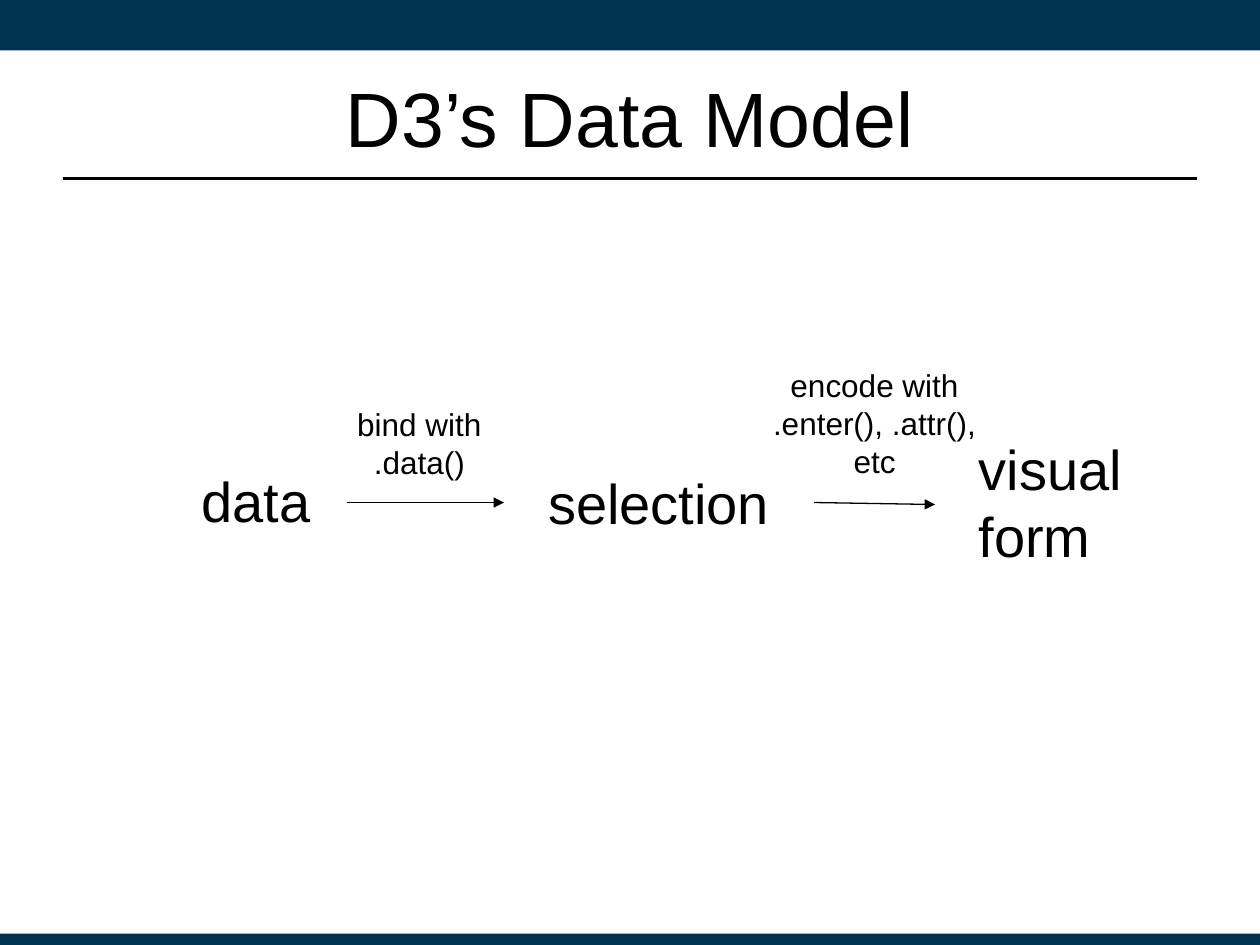
from dataclasses import dataclass

from pptx import Presentation
from pptx.dml.color import RGBColor
from pptx.enum.shapes import MSO_CONNECTOR as Connector, MSO_SHAPE as Preset
from pptx.enum.text import MSO_ANCHOR as Anchor, PP_ALIGN as Align
from pptx.oxml.ns import qn
from pptx.slide import Slide
from pptx.util import Cm, Pt
from lxml.etree import SubElement

COLOURS = {"navy": "003252", "ink": "000000", "paper": "FFFFFF"}


def colour(name):
    return RGBColor.from_string(COLOURS[name])


def write(para, text, font="Arial", size=32, ink="ink", align=Align.LEFT):
    para.alignment = align
    span = para.add_run()
    span.text = text
    span.font.name = font
    span.font.size = Pt(size)
    span.font.color.rgb = colour(ink)


@dataclass
class Painter:
    page: Slide
    font: str = "Arial"
    ink: str = "ink"

    def bar(self, top, height):
        bar = self.page.shapes.add_shape(
            Preset.RECTANGLE, 0, Cm(top), Cm(25.4), Cm(height))
        bar.shadow.inherit = False
        bar.fill.solid()
        bar.fill.fore_color.rgb = colour("navy")
        bar.line.fill.background()

    def text(self, lines, left, top, width, height, anchor=Anchor.TOP, **style):
        box = self.page.shapes.add_textbox(Cm(left), Cm(top), Cm(width), Cm(height))
        frame = box.text_frame
        frame.word_wrap = True
        frame.vertical_anchor = anchor
        for index, line in enumerate(lines):
            para = frame.add_paragraph() if index else frame.paragraphs[0]
            write(para, line, font=self.font, ink=self.ink, **style)

    def line(self, start, end, weight=0.75, arrow=False):
        points = [Cm(value) for value in (*start, *end)]
        line = self.page.shapes.add_connector(Connector.STRAIGHT, *points)
        line.line.color.rgb = colour(self.ink)
        line.line.width = Pt(weight)
        if arrow:
            SubElement(line.line._get_or_add_ln(), qn("a:tailEnd"), type="triangle")
        SubElement(line._element.spPr, qn("a:effectLst"))


def main():
    deck = Presentation()
    deck.slide_width, deck.slide_height = Cm(25.4), Cm(19.05)
    page = deck.slides.add_slide(deck.slide_layouts[6])
    page.background.fill.solid()
    page.background.fill.fore_color.rgb = colour("paper")
    painter = Painter(page)

    painter.bar(0, 1.02)
    painter.bar(18.82, 0.25)
    painter.line((1.27, 3.6), (24.13, 3.6), weight=1.25)
    painter.text(["D3’s Data Model"], 1.27, 0.76, 22.86, 3.18,
                 anchor=Anchor.MIDDLE, size=44, align=Align.CENTER)

    painter.text(["data"], 3.81, 9.27, 5.51, 1.63)
    painter.text(["selection"], 10.8, 9.32, 5.51, 1.63)
    painter.text(["visual form"], 19.48, 8.64, 4.45, 3)

    painter.line((6.99, 10.13), (10.16, 10.13), arrow=True)
    painter.line((16.41, 10.13), (18.85, 10.17), arrow=True)

    label = {"size": 18, "align": Align.CENTER}
    painter.text(["bind with", ".data()"], 6.55, 8.05, 3.81, 1.8, **label)
    painter.text(["encode with", ".enter(), .attr(), etc"],
                 15.09, 7.26, 5.08, 2.57, **label)

    deck.save("out.pptx")


if __name__ == "__main__":
    main()
